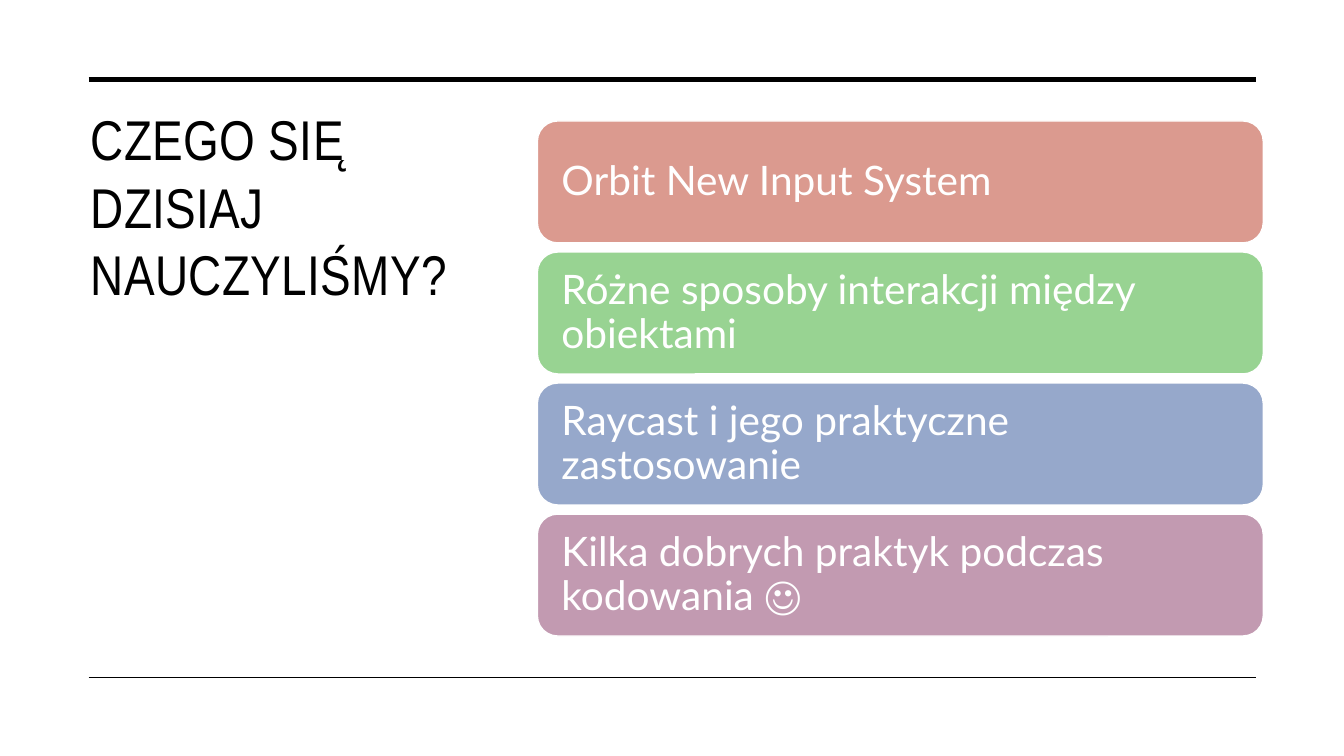
from dataclasses import dataclass

from lxml.etree import SubElement
from pptx import Presentation
from pptx.dml.color import RGBColor
from pptx.enum.shapes import MSO_CONNECTOR as Link, MSO_SHAPE as Kind
from pptx.enum.text import MSO_ANCHOR as Anchor, MSO_AUTO_SIZE as Fit, PP_ALIGN as Align
from pptx.oxml.ns import qn
from pptx.slide import Slide
from pptx.util import Emu, Pt

SCALE = 9144  # EMU per px, 100 px to the inch


@dataclass(frozen=True)
class Rule:
    y: int
    width: float


@dataclass(frozen=True)
class Card:
    text: str
    fill: str


RULES = [Rule(79, 3.5), Rule(672, 1)]
LEFT, RIGHT = 88, 1246

CARDS = [
    Card("Orbit New Input System", "DB9A8F"),
    Card("Różne sposoby interakcji między obiektami", "98D392"),
    Card("Raycast i jego praktyczne zastosowanie", "96A8CB"),
    Card("Kilka dobrych praktyk podczas kodowania ☺", "C29AB1"),
]
CARD_X, CARD_Y, CARD_W, CARD_H, STEP = 533, 120, 720, 121, 130


def px(n: int) -> Emu:
    return Emu(n * SCALE)


def paint(code: str) -> RGBColor:
    return RGBColor.from_string(code)


def write(shape, text: str, *, font: str, size: float, color: str,
          anchor: Anchor, pad: tuple[int, int], lead: float = 1.0,
          track: int = 0) -> None:
    """Fill a shape with one left-aligned paragraph; track is in 1/100 pt."""
    frame = shape.text_frame
    frame.word_wrap = True
    frame.auto_size = Fit.NONE
    frame.vertical_anchor = anchor
    frame.margin_left = frame.margin_right = px(pad[0])
    frame.margin_top = frame.margin_bottom = px(pad[1])
    para = frame.paragraphs[0]
    para.alignment = Align.LEFT
    para.line_spacing = lead
    run = para.add_run()
    run.text = text
    run.font.name = font
    run.font.size = Pt(size)
    run.font.color.rgb = paint(color)
    if track:
        run._r.get_or_add_rPr().set("spc", str(track))


def draw_rule(slide: Slide, rule: Rule) -> None:
    line = slide.shapes.add_connector(
        Link.STRAIGHT, px(LEFT), px(rule.y), px(RIGHT), px(rule.y))
    line.line.color.rgb = paint("000000")
    line.line.width = Pt(rule.width)
    SubElement(line._element.spPr, qn("a:effectLst"))


def draw_card(slide: Slide, card: Card, top: int) -> None:
    box = slide.shapes.add_shape(
        Kind.ROUNDED_RECTANGLE, px(CARD_X), px(top), px(CARD_W), px(CARD_H))
    box.shadow.inherit = False
    box.fill.solid()
    box.fill.fore_color.rgb = paint(card.fill)
    box.line.color.rgb = paint("FFFFFF")
    box.line.width = Pt(1)
    write(box, card.text, font="Lato", size=29, color="FFFFFF",
          anchor=Anchor.MIDDLE, pad=(18, 18), lead=0.9)


def main() -> None:
    deck = Presentation()
    deck.slide_width, deck.slide_height = px(1333), px(750)
    slide = deck.slides.add_slide(deck.slide_layouts[5])

    # Title
    title = slide.shapes.title
    title.left, title.top = px(80), px(99)
    title.width, title.height = px(400), px(482)
    write(title, "CZEGO SIĘ DZISIAJ NAUCZYLIŚMY?", font="Arial Narrow",
          size=40, color="000000", anchor=Anchor.TOP, pad=(10, 5), track=30)

    # Rules above and below
    for rule in RULES:
        draw_rule(slide, rule)

    # Stack of cards
    for i, card in enumerate(CARDS):
        draw_card(slide, card, CARD_Y + i * STEP)

    deck.save("out.pptx")


if __name__ == "__main__":
    main()
